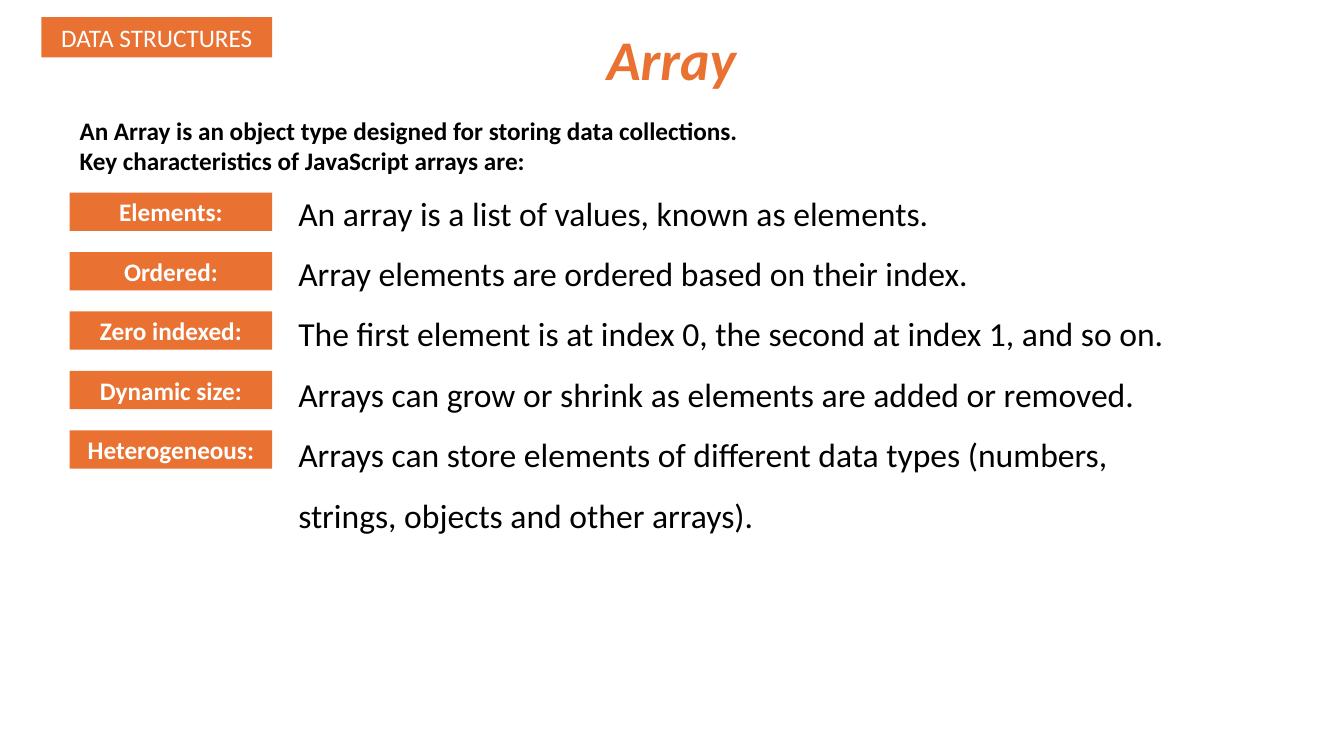
from pptx import Presentation
from pptx.dml.color import RGBColor
from pptx.enum.shapes import MSO_SHAPE
from pptx.enum.text import MSO_ANCHOR, PP_ALIGN
from pptx.util import Inches, Pt

COLORS = {"orange": "E97132", "white": "FFFFFF", "black": "000000"}

characteristics = [
    ("Elements:", "An array is a list of values, known as elements."),
    ("Ordered:", "Array elements are ordered based on their index."),
    ("Zero indexed:", "The first element is at index 0, the second at index 1, and so on."),
    ("Dynamic size:", "Arrays can grow or shrink as elements are added or removed."),
    ("Heterogeneous:", "Arrays can store elements of different data types "
                       "(numbers, strings, objects and other arrays)."),
]

prs = Presentation()
prs.slide_width = Inches(13.33)
prs.slide_height = Inches(7.5)
slide = prs.slides.add_slide(prs.slide_layouts[6])


def write(holder, text, size, color, bold=False, italic=False,
          align=PP_ALIGN.LEFT, spacing=1.0):
    frame = holder.text_frame
    frame.word_wrap = True
    frame.text = text
    for paragraph in frame.paragraphs:
        paragraph.alignment = align
        paragraph.line_spacing = spacing
        for run in paragraph.runs:
            run.font.name = "Calibri"
            run.font.size = Pt(size)
            run.font.bold = bold
            run.font.italic = italic
            run.font.color.rgb = RGBColor.from_string(COLORS[color])


def add_label(left, top, width, height, text, bold):
    label = slide.shapes.add_shape(
        MSO_SHAPE.RECTANGLE, Inches(left), Inches(top), Inches(width), Inches(height))
    label.shadow.inherit = False
    label.fill.solid()
    label.fill.fore_color.rgb = RGBColor.from_string(COLORS["orange"])
    label.line.fill.background()
    label.text_frame.vertical_anchor = MSO_ANCHOR.MIDDLE
    write(label, text, 18, "white", bold=bold, align=PP_ALIGN.CENTER)


add_label(0.41, 0.17, 2.29, 0.4, "DATA STRUCTURES", False)

title = slide.shapes.add_textbox(Inches(3.83), Inches(0.19), Inches(5.66), Inches(0.77))
write(title, "Array", 40, "orange", bold=True, italic=True, align=PP_ALIGN.CENTER)

intro = slide.shapes.add_textbox(Inches(0.69), Inches(1.09), Inches(7.19), Inches(0.71))
write(intro, "An Array is an object type designed for storing data collections.\n"
             "Key characteristics of JavaScript arrays are:", 18, "black", bold=True)

descriptions = slide.shapes.add_textbox(
    Inches(2.86), Inches(1.66), Inches(8.91), Inches(3.74))
write(descriptions, "\n".join(description for _, description in characteristics),
      24, "black", spacing=1.5)

for row, (characteristic, _) in enumerate(characteristics):
    add_label(0.69, 1.91 + row * 0.59, 2.01, 0.38, characteristic, True)

prs.save("out.pptx")
